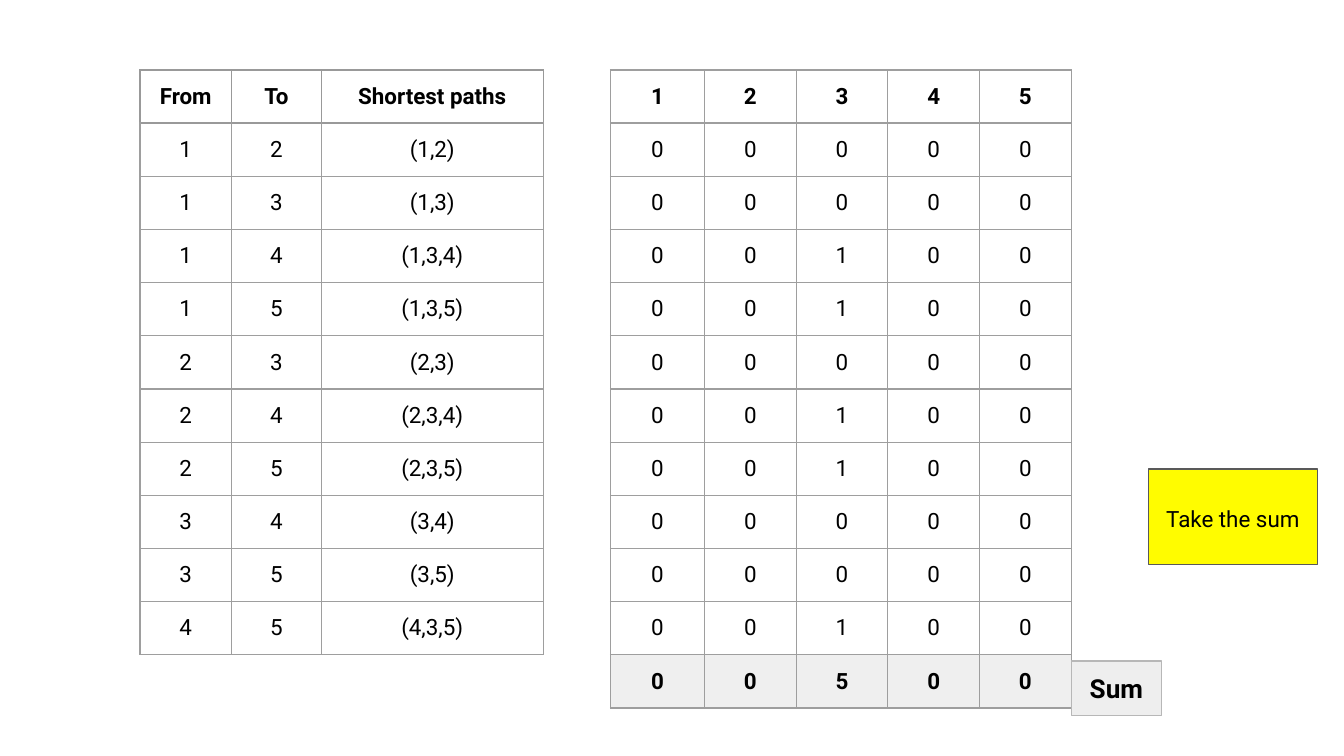
from dataclasses import dataclass

from lxml import etree
from pptx import Presentation
from pptx.dml.color import RGBColor
from pptx.enum.shapes import MSO_SHAPE
from pptx.enum.text import MSO_ANCHOR, PP_ALIGN
from pptx.oxml.ns import qn
from pptx.util import Inches, Pt

RECTANGLE = MSO_SHAPE.RECTANGLE
MIDDLE = MSO_ANCHOR.MIDDLE
CENTER = PP_ALIGN.CENTER
BLANK_LAYOUT = 6


@dataclass(frozen=True)
class Theme:
    font: str = "Roboto"
    text: str = "000000"
    body_size: int = 12
    label_size: int = 14
    border: str = "9E9E9E"
    header_border: str = "999999"
    sum_row: str = "EFEFEF"
    sum_label: str = "EEEEEE"
    sum_line: str = "B7B7B7"
    note: str = "FFFC00"
    note_line: str = "595959"
    line_width: float = 0.75


@dataclass(frozen=True)
class Grid:
    """The slide is divided into square units."""
    columns: float = 100
    rows: float = 56.25
    unit: int = Inches(0.1)

    def length(self, units: float) -> int:
        return round(units * self.unit)


@dataclass(frozen=True)
class TableSpec:
    left: float
    column_widths: tuple
    rows: list
    header_border: str
    has_sum: bool = False


@dataclass(frozen=True)
class BoxSpec:
    text: str
    left: float
    top: float
    width: float
    height: float
    fill: str
    line: str
    size: int
    bold: bool = False
    line_spacing: float = 1.0


THEME = Theme()
GRID = Grid()
TABLE_TOP = 5.2
ROW_HEIGHT = 3.7  # rows grow to fit their text

# Every shortest path, and the nodes that lie strictly inside it
NODES = range(1, 6)
PATHS = [(1, 2), (1, 3), (1, 3, 4), (1, 3, 5), (2, 3), (2, 3, 4),
         (2, 3, 5), (3, 4), (3, 5), (4, 3, 5)]
COUNTS = [[path[1:-1].count(node) for node in NODES] for path in PATHS]
SUMS = [sum(column) for column in zip(*COUNTS)]

TABLES = [
    TableSpec(10.42, (6.8, 6.7, 16.5),
              [("From", "To", "Shortest paths")]
              + [(path[0], path[-1], f"({','.join(map(str, path))})") for path in PATHS],
              THEME.header_border),
    TableSpec(45.42, (7, 6.82, 6.82, 6.82, 6.82), [NODES, *COUNTS, SUMS],
              THEME.border, has_sum=True),
]

BOXES = [
    BoxSpec("Sum", 79.72, 49.2, 6.7, 4.04, THEME.sum_label, THEME.sum_line,
            THEME.label_size, bold=True),
    BoxSpec("Take the sum", 85.44, 34.9, 12.6, 7.1, THEME.note, THEME.note_line,
            THEME.body_size, line_spacing=1.15),
]


def write_text(frame, text: str, size: int, bold: bool, line_spacing: float = 1.0) -> None:
    para = frame.paragraphs[0]
    para.text = text
    para.alignment = CENTER
    para.line_spacing = line_spacing
    para.font.name = THEME.font
    para.font.size = Pt(size)
    para.font.bold = bold
    para.font.color.rgb = RGBColor.from_string(THEME.text)


def set_margins(owner) -> None:
    owner.margin_left = owner.margin_right = GRID.length(1)
    owner.margin_top = owner.margin_bottom = GRID.length(1)


def set_borders(cell, color: str, top_color: str) -> None:
    properties = cell._tc.get_or_add_tcPr()
    for side in ("lnL", "lnR", "lnT", "lnB"):
        line = etree.SubElement(properties, qn(f"a:{side}"), w=str(Pt(THEME.line_width)))
        fill = etree.SubElement(line, qn("a:solidFill"))
        etree.SubElement(fill, qn("a:srgbClr"), val=top_color if side == "lnT" else color)


def draw_table(page, spec: TableSpec) -> None:
    row_count = len(spec.rows)
    table = page.shapes.add_table(
        row_count, len(spec.column_widths), GRID.length(spec.left), GRID.length(TABLE_TOP),
        GRID.length(sum(spec.column_widths)), GRID.length(ROW_HEIGHT * row_count)).table
    table.first_row = table.horz_banding = False
    for column, width in zip(table.columns, spec.column_widths):
        column.width = GRID.length(width)
    for row_index, values in enumerate(spec.rows):
        is_header = row_index == 0
        is_sum = spec.has_sum and row_index == row_count - 1
        color = spec.header_border if is_header else THEME.border
        top_color = spec.header_border if row_index <= 1 else THEME.border
        for column_index, value in enumerate(values):
            cell = table.cell(row_index, column_index)
            cell.vertical_anchor = MIDDLE
            set_margins(cell)
            set_borders(cell, color, top_color)
            if is_sum:
                cell.fill.solid()
                cell.fill.fore_color.rgb = RGBColor.from_string(THEME.sum_row)
            else:
                cell.fill.background()
            write_text(cell.text_frame, str(value), THEME.body_size, is_header or is_sum)


def draw_box(page, spec: BoxSpec) -> None:
    box = page.shapes.add_shape(
        RECTANGLE, *map(GRID.length, (spec.left, spec.top, spec.width, spec.height)))
    box.shadow.inherit = False
    box.fill.solid()
    box.fill.fore_color.rgb = RGBColor.from_string(spec.fill)
    box.line.color.rgb = RGBColor.from_string(spec.line)
    box.line.width = Pt(THEME.line_width)
    frame = box.text_frame
    frame.word_wrap = True
    frame.vertical_anchor = MIDDLE
    set_margins(frame)
    write_text(frame, spec.text, spec.size, spec.bold, spec.line_spacing)


def main() -> None:
    deck = Presentation()
    deck.slide_width = GRID.length(GRID.columns)
    deck.slide_height = GRID.length(GRID.rows)
    page = deck.slides.add_slide(deck.slide_layouts[BLANK_LAYOUT])

    # Paths on the left, interior node counts on the right
    for table in TABLES:
        draw_table(page, table)

    # Label of the sum row and the instruction
    for box in BOXES:
        draw_box(page, box)

    deck.save("out.pptx")


if __name__ == "__main__":
    main()
